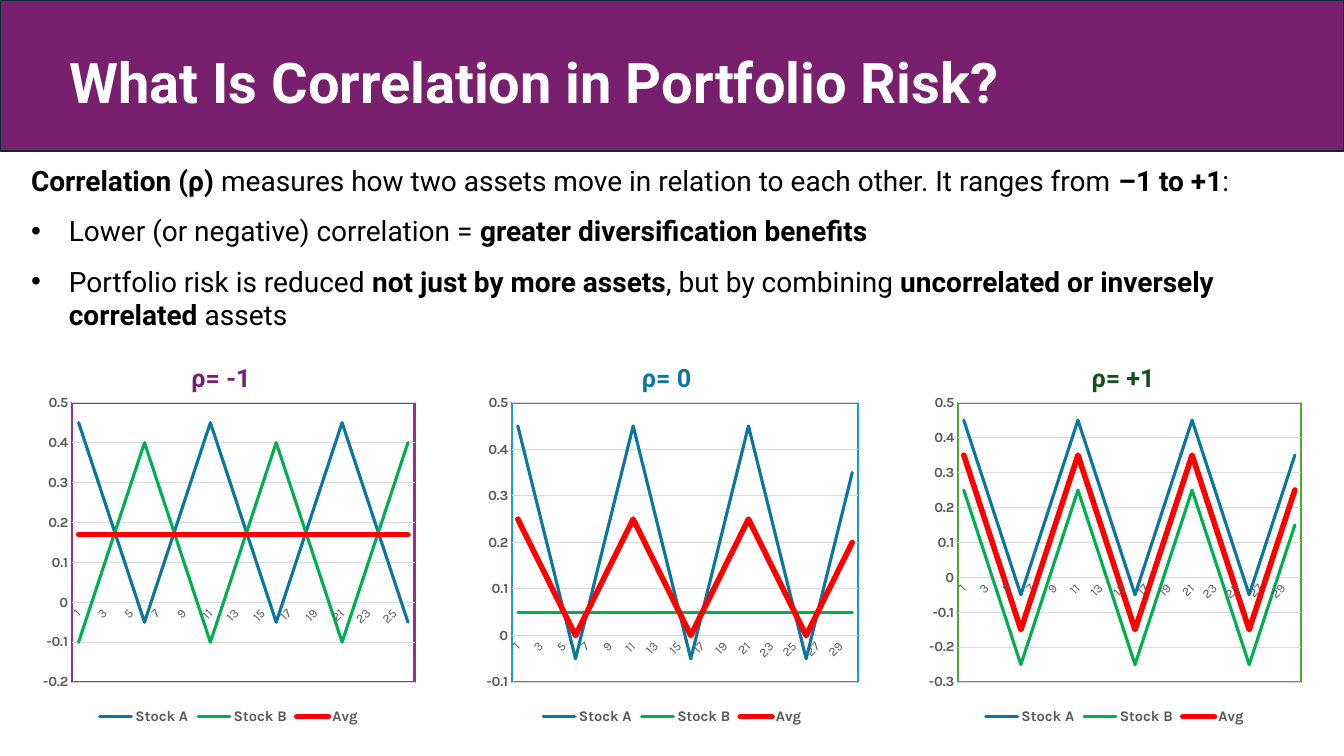
from lxml import etree
from pptx import Presentation
from pptx import util as u
from pptx.chart.data import CategoryChartData
from pptx.dml.color import RGBColor
from pptx.enum import chart as ch, shapes, text
from pptx.oxml import parse_xml
from pptx.oxml.ns import nsdecls, qn

PURPLE, BLUE, GREEN = "78206E", "0B76A0", "13501B"
GREY, GRID = "595959", "D9D9D9"
SERIES_STYLE = {"Stock A": (BLUE, 2.25), "Stock B": ("00B050", 2.25), "Avg": ("FF0000", 4)}


def color(hex_value):
    return RGBColor.from_string(hex_value)


def apply(target, values):
    for name, value in values.items():
        setattr(target, name, value)


def zigzag(count, turn, step=0.1):
    """Values that reach turn at the sixth point and repeat every ten."""
    return [round(turn + step * abs(5 - i % 10), 2) for i in range(count)]


class Deck:
    def __init__(self):
        self.prs = Presentation()
        apply(self.prs, {"slide_width": u.Pt(960), "slide_height": u.Pt(540)})
        self.slide = self.prs.slides.add_slide(self.prs.slide_layouts[6])
        self.heading_font, self.chart_font = "Roboto", "Karla"

    def set_font(self, font, size, hex_value, bold=False, name=None):
        apply(font, {"size": u.Pt(size), "bold": bold, "name": name or self.heading_font})
        font.color.rgb = color(hex_value)

    def banner(self, height):
        band = self.slide.shapes.add_shape(
            shapes.MSO_SHAPE.RECTANGLE, 0, 0, self.prs.slide_width, u.Pt(height))
        band.shadow.inherit = False
        band.fill.solid()
        band.fill.fore_color.rgb = color(PURPLE)
        band.line.color.rgb = color("092A39")
        band.line.width = u.Pt(1.5)

    def text(self, box, paragraphs, size, hex_value, wrap=True, gap=0, **frame_format):
        """Each paragraph is (bulleted, [(words, bold), ...])."""
        frame = self.slide.shapes.add_textbox(*map(u.Pt, box)).text_frame
        apply(frame, {"word_wrap": wrap, **frame_format})
        for index, (bulleted, runs) in enumerate(paragraphs):
            paragraph = frame.add_paragraph() if index else frame.paragraphs[0]
            if bulleted:
                props = paragraph._p.get_or_add_pPr()
                props.set("marL", str(u.Pt(27)))
                props.set("indent", str(-u.Pt(27)))
                etree.SubElement(props, qn("a:buFont")).set("typeface", "Arial")
                etree.SubElement(props, qn("a:buChar")).set("char", "•")
            apply(paragraph, {"space_before": u.Pt(gap if index else 0),
                              "space_after": u.Pt(gap)})
            for words, bold in runs:
                run = paragraph.add_run()
                run.text = words
                self.set_font(run.font, size, hex_value, bold)

    def line_chart(self, left, series, border, plot_left):
        data = CategoryChartData()
        data.categories = [str(i + 1) for i in range(len(series["Avg"]))]
        for name, values in series.items():
            data.add_series(name, values)
        chart = self.slide.shapes.add_chart(
            ch.XL_CHART_TYPE.LINE, *map(u.Pt, (left, 277.2, 276.5, 244)), data).chart
        self.set_font(chart.font, 10, "000000", name=self.chart_font)
        apply(chart, {"has_title": False, "has_legend": True})
        apply(chart.legend, {"position": ch.XL_LEGEND_POSITION.BOTTOM,
                             "include_in_layout": False})
        self.set_font(chart.legend.font, 10.5, GREY, True, self.chart_font)
        chart.plots[0].vary_by_categories = False
        for line in chart.plots[0].series:
            hex_value, width = SERIES_STYLE[line.name]
            line.smooth = False
            line.marker.style = ch.XL_MARKER_STYLE.NONE
            line.format.line.color.rgb = color(hex_value)
            line.format.line.width = u.Pt(width)
        self.axes(chart)
        self.plot_frame(chart, border, plot_left)

    def axes(self, chart):
        periods, values = chart.category_axis, chart.value_axis
        for axis in (periods, values):
            apply(axis, {"major_tick_mark": ch.XL_TICK_MARK.NONE,
                         "minor_tick_mark": ch.XL_TICK_MARK.NONE})
        self.set_font(periods.tick_labels.font, 9, GREY, name=self.chart_font)
        self.set_font(values.tick_labels.font, 10, GREY, True, self.chart_font)
        apply(values.tick_labels, {"number_format": "General",
                                   "number_format_is_linked": False})
        values.has_major_gridlines = True
        for line in (periods.format.line, values.major_gridlines.format.line):
            line.color.rgb = color(GRID)
            line.width = u.Pt(0.75)
        values.format.line.fill.background()

    def plot_frame(self, chart, border, plot_left):
        """Round the line ends, slant the period labels, place and outline the plot."""
        for line in chart.element.xpath(".//c:ser/c:spPr/a:ln"):
            line.set("cap", "rnd")
        area = chart.element.xpath("c:chart/c:plotArea")[0]
        area.xpath("c:catAx/c:txPr/a:bodyPr")[0].set("rot", "-2700000")
        skip = etree.Element(qn("c:tickLblSkip"), val="2")
        area.xpath("c:catAx/c:lblOffset")[0].addnext(skip)
        for layout in area.xpath("c:layout"):
            area.remove(layout)
        place = {"layoutTarget": "inner", "xMode": "edge", "yMode": "edge", "x": plot_left,
                 "y": 0.043, "w": round(0.98 - plot_left, 3), "h": 0.818}
        layout = etree.Element(qn("c:layout"))
        manual = etree.SubElement(layout, qn("c:manualLayout"))
        for name, value in place.items():
            etree.SubElement(manual, qn("c:" + name)).set("val", str(value))
        area.insert(0, layout)
        area.append(parse_xml(
            f'<c:spPr {nsdecls("c", "a")}><a:solidFill><a:srgbClr val="FFFFFF"/></a:solidFill>'
            f'<a:ln w="{u.Pt(1.5)}"><a:solidFill><a:srgbClr val="{border}"/></a:solidFill>'
            '</a:ln></c:spPr>'))


def main():
    deck = Deck()
    deck.banner(107.7)
    deck.text((42.5, 19.3, 874, 77), [(False, [("What Is Correlation in Portfolio Risk?", True)])],
              40, "FFFFFF", vertical_anchor=text.MSO_ANCHOR.MIDDLE)
    deck.text((15.1, 113.2, 930, 128), [
        (False, [("Correlation (ρ) ", True),
                 ("measures how two assets move in relation to each other. It ranges from ", False),
                 ("–1 to +1", True), (":", False)]),
        (True, [("Lower (or negative) correlation = ", False),
                ("greater diversification benefits", True)]),
        (True, [("Portfolio risk is reduced ", False), ("not just by more assets", True),
                (", but by combining ", False),
                ("uncorrelated or inversely correlated", True), (" assets", False)]),
    ], 20, "000000", gap=6)

    panels = [
        # chart left, label left, label, label colour, border, plot left, Stock B, Avg
        (25.2, 129.6, "ρ= -1", PURPLE, "A02B93", 0.095, zigzag(26, 0.4, -0.1), [0.17] * 26),
        (342, 451.4, "ρ= 0", BLUE, "0F9ED5", 0.086, [0.05] * 30, zigzag(30, 0, 0.05)),
        (658.1, 772.6, "ρ= +1", GREEN, "4EA72E", 0.095, zigzag(30, -0.25), zigzag(30, -0.15)),
    ]
    for left, label_left, label, hue, border, plot_left, stock_b, average in panels:
        stock_a = zigzag(len(stock_b), -0.05)
        deck.line_chart(left, {"Stock A": stock_a, "Stock B": stock_b, "Avg": average},
                        border, plot_left)
        deck.text((label_left, 255, 62, 29), [(False, [(label, True)])], 18, hue, wrap=False,
                  auto_size=text.MSO_AUTO_SIZE.SHAPE_TO_FIT_TEXT)
    deck.prs.save("out.pptx")


if __name__ == "__main__":
    main()
